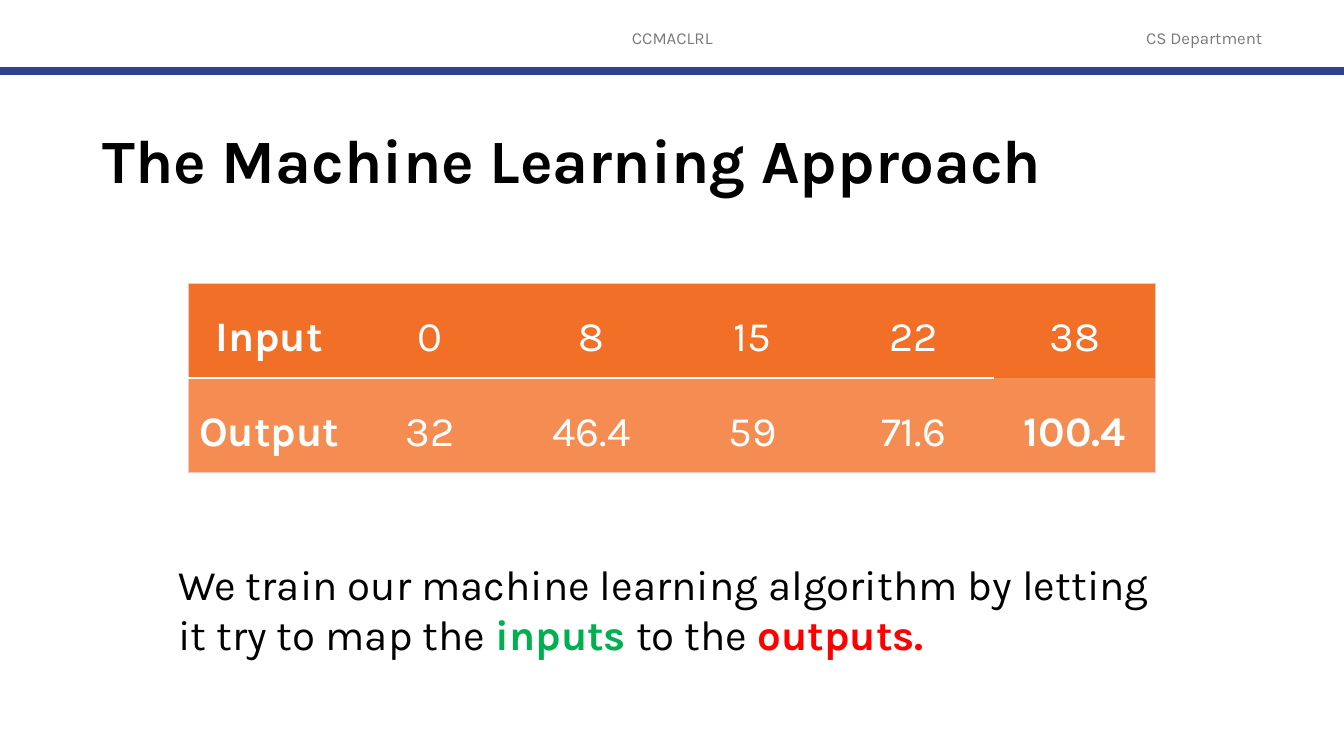
import dataclasses

import pptx
import pptx.dml.color
import pptx.enum.shapes
import pptx.enum.text
import pptx.oxml
import pptx.oxml.ns
import pptx.util

ALIGN = pptx.enum.text.PP_ALIGN
ANCHOR = pptx.enum.text.MSO_ANCHOR


@dataclasses.dataclass(frozen=True)
class Theme:
    font: str = "Karla"
    black: str = "000000"
    white: str = "FFFFFF"
    grey: str = "797979"
    navy: str = "32418C"
    green: str = "00B050"
    red: str = "FF0000"
    frame: str = "F4C9BF"
    row_fills: tuple = ("F26F28", "F58D53")
    header_size: int = 12
    title_size: int = 44
    body_size: int = 30


def rgb(value):
    return pptx.dml.color.RGBColor.from_string(value)


class Deck:
    """Draws themed elements on a slide, with lengths in percent of its size."""

    def __init__(self, theme):
        self.theme = theme
        self.prs = pptx.Presentation()
        self.prs.slide_width = pptx.util.Inches(13.33)
        self.prs.slide_height = pptx.util.Inches(7.5)
        self.s = self.prs.slides.add_slide(self.prs.slide_layouts[6])

    def box(self, x, y, w, h):
        width, height = self.prs.slide_width, self.prs.slide_height
        return [round(share * side / 100) for share, side in
                ((x, width), (y, height), (w, width), (h, height))]

    def style(self, p, size, color, bold=False, align=ALIGN.LEFT, spacing=1.0):
        p.alignment = align
        p.line_spacing = spacing
        p.font.name = self.theme.font
        p.font.size = pptx.util.Pt(size)
        p.font.color.rgb = rgb(color)
        p.font.bold = bold

    def text(self, at, runs, size, color, anchor=ANCHOR.MIDDLE, **style):
        tf = self.s.shapes.add_textbox(*self.box(*at)).text_frame
        tf.word_wrap = True
        tf.vertical_anchor = anchor
        p = tf.paragraphs[0]
        self.style(p, size, color, **style)
        for words, accent in runs:
            r = p.add_run()
            r.text = words
            if accent:
                r.font.bold = True
                r.font.color.rgb = rgb(accent)

    def rule(self, y, color, weight):
        left, top, width, _ = self.box(0, y, 100, 0)
        line = self.s.shapes.add_connector(
            pptx.enum.shapes.MSO_CONNECTOR.STRAIGHT, left, top, width, top)
        line.line.color.rgb = rgb(color)
        line.line.width = pptx.util.Pt(weight)
        line._element.spPr.append(pptx.oxml.parse_xml(
            f"<a:effectLst {pptx.oxml.ns.nsdecls('a')}/>"))

    def borders(self, cell, sides):
        tcPr = cell._tc.get_or_add_tcPr()
        for i, (side, edge) in enumerate(sides.items()):
            color, weight = edge or (None, 0)
            fill = (f'<a:solidFill><a:srgbClr val="{color}"/></a:solidFill>'
                    if edge else "<a:noFill/>")
            tcPr.insert(i, pptx.oxml.parse_xml(
                f"<a:ln{side} {pptx.oxml.ns.nsdecls('a')} "
                f'w="{pptx.util.Pt(weight)}">{fill}</a:ln{side}>'))

    def table(self, at, rows, bold_words):
        t = self.theme
        last_row, last_col = len(rows) - 1, len(rows[0]) - 1
        frame, divider = (t.frame, 1), (t.white, 2)
        table = self.s.shapes.add_table(
            len(rows), len(rows[0]), *self.box(*at)).table
        table.horz_banding = False
        for i, row in enumerate(rows):
            for j, words in enumerate(row):
                cell = table.cell(i, j)
                cell.text = words
                self.style(cell.text_frame.paragraphs[0], t.body_size, t.white,
                           words in bold_words, ALIGN.CENTER, 1.5)
                cell.fill.solid()
                cell.fill.fore_color.rgb = rgb(t.row_fills[i])
                inner = divider if j < last_col else None
                self.borders(cell, {
                    "L": frame if j == 0 else None,
                    "R": frame if j == last_col else None,
                    "T": frame if i == 0 else inner,
                    "B": frame if i == last_row else inner})


def main():
    t = Theme()
    d = Deck(t)
    for words, x, w in (("CCMACLRL", 33.15, 33.75), ("CS Department", 81.9, 15.4)):
        d.text((x, 2.27, w, 5.33), [(words, None)], t.header_size, t.grey,
               align=ALIGN.CENTER)
    d.rule(9.4, t.navy, 6)
    d.text((6.9, 12, 86.25, 19.33), [("The Machine Learning Approach", None)],
           t.title_size, t.black, bold=True, spacing=0.9)
    d.table((14.03, 37.47, 71.93, 25.07),
            [["Input", "0", "8", "15", "22", "38"],
             ["Output", "32", "46.4", "59", "71.6", "100.4"]],
            {"Input", "Output", "100.4"})
    d.text((12.53, 73.2, 75, 14.8),
           [("We train our machine learning algorithm by letting it try to map the ", None),
            ("inputs", t.green), (" to the ", None), ("outputs.", t.red)],
           t.body_size, t.black, anchor=ANCHOR.TOP)
    d.prs.save("out.pptx")


if __name__ == "__main__":
    main()
